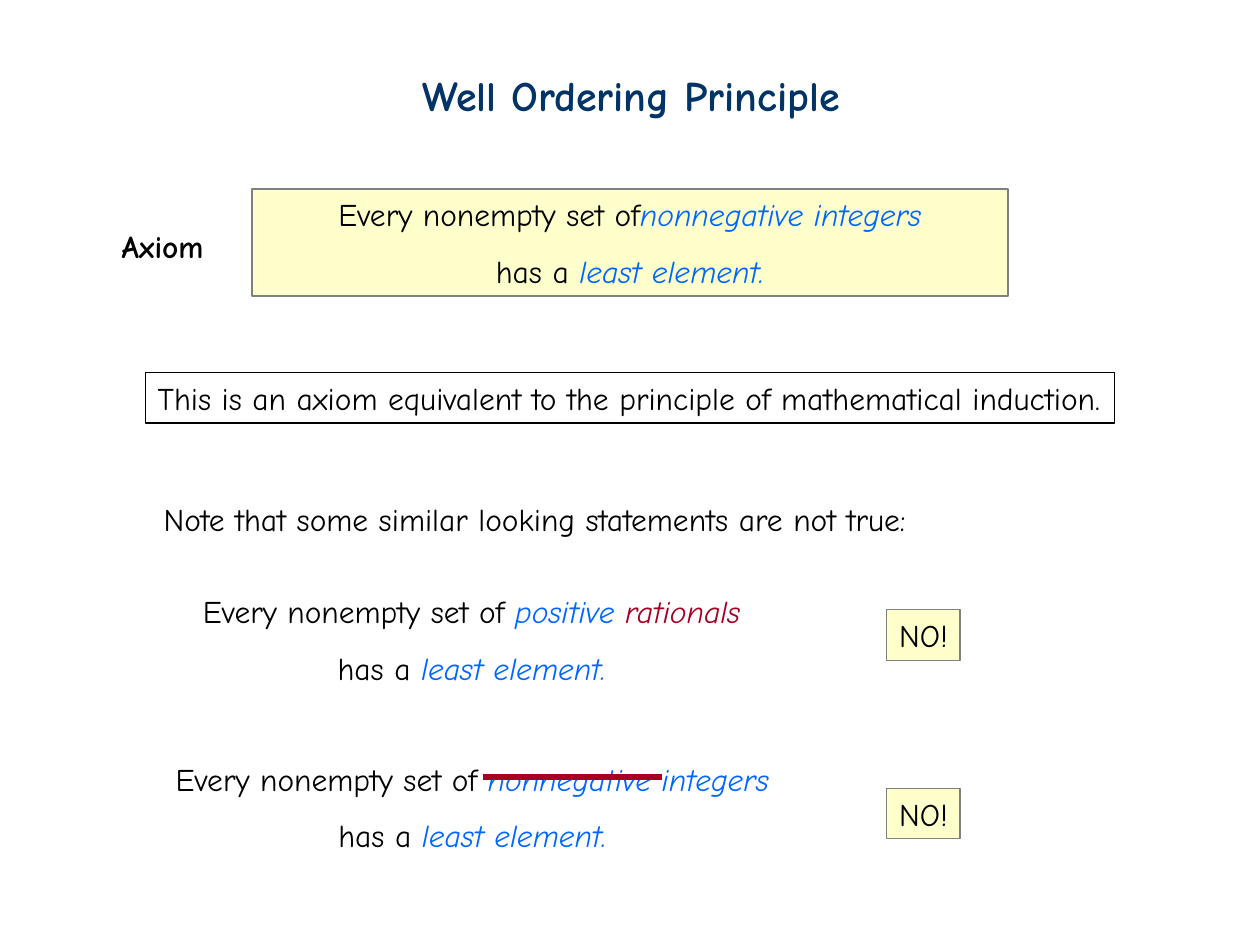
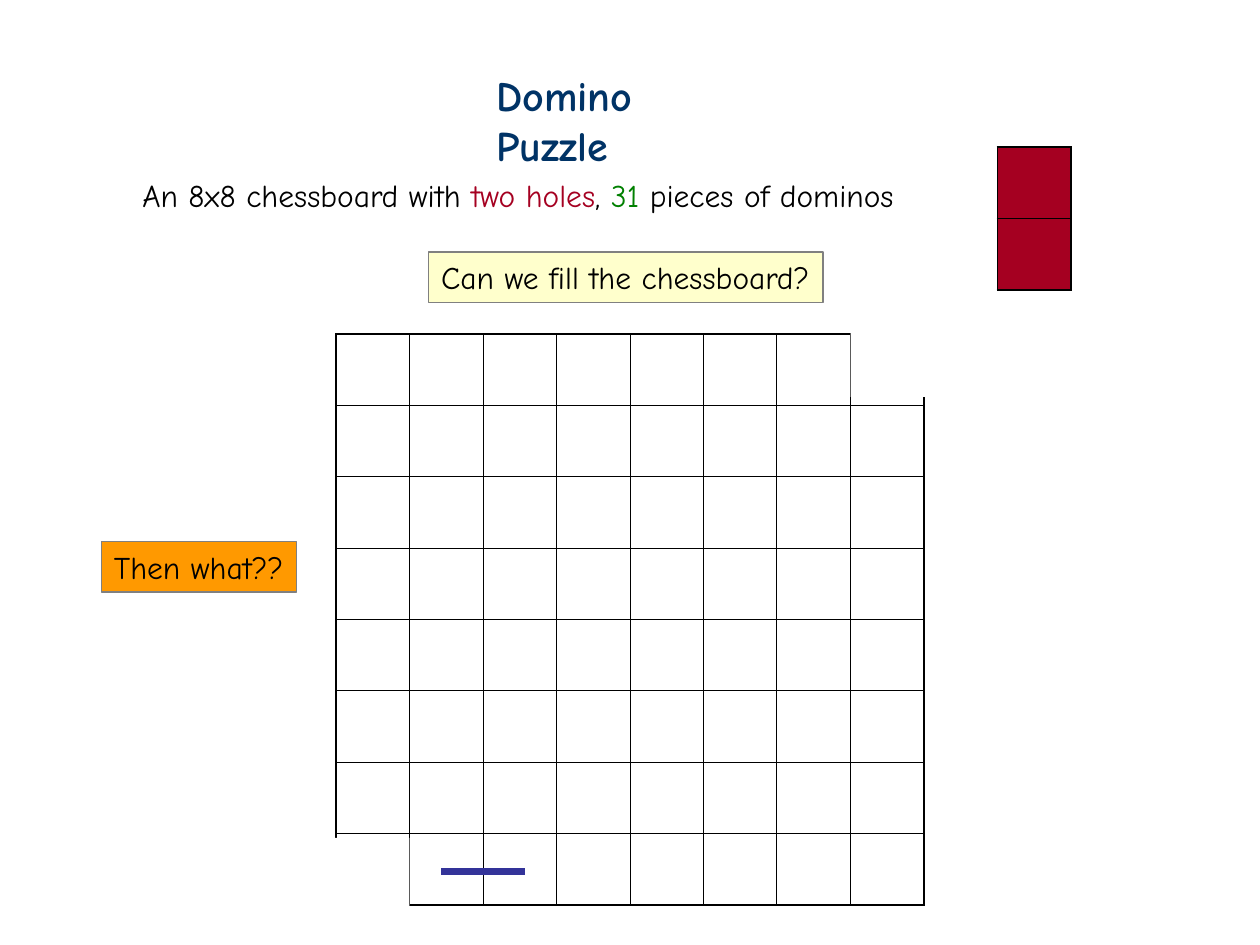
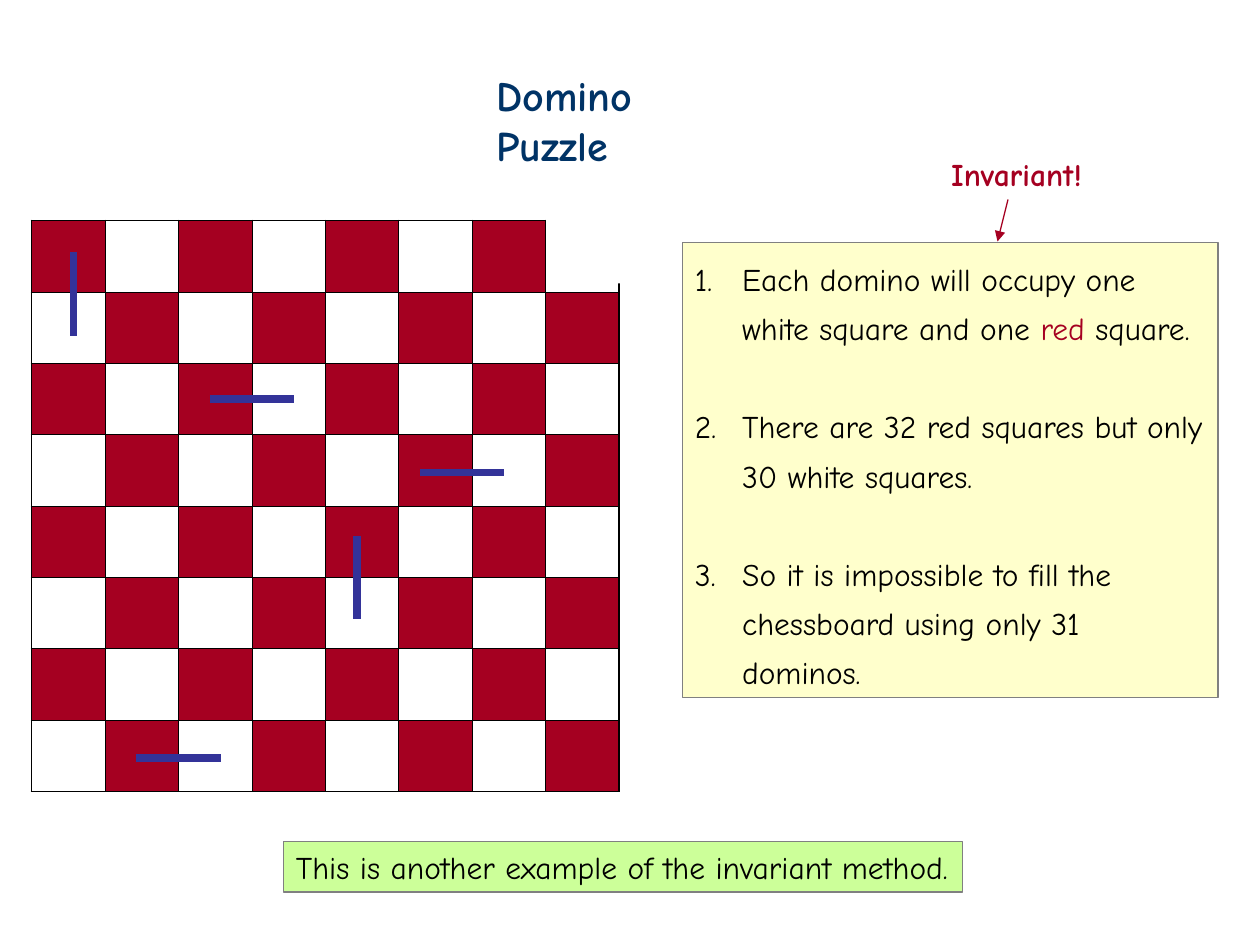
from lxml.etree import SubElement
from pptx import Presentation
from pptx.dml.color import RGBColor
from pptx.enum.shapes import MSO_CONNECTOR, MSO_SHAPE
from pptx.enum.text import MSO_ANCHOR, MSO_AUTO_SIZE, PP_ALIGN
from pptx.oxml.ns import qn
from pptx.util import Pt

COLORS = {
    "black": "000000", "white": "FFFFFF", "navy": "003366", "blue": "0066FF",
    "red": "A50021", "green": "008000", "cream": "FFFFCC", "orange": "FF9900",
    "lime": "CCFF99", "gray": "808080", "indigo": "333399",
}
FONT = "Comic Neue"
LABEL_HEIGHT = 28.8
CELL_WIDTH, CELL_HEIGHT = 42, 40.8
BOARD_SIZE = 8
THIN, THICK = 0.45, 1.08
OVERLAP = 6
MARKER_LENGTH = 48


def rgb(name):
    return RGBColor.from_string(COLORS[name])


def add_run(paragraph, text, color="black", size=18, bold=False, italic=False):
    run = paragraph.add_run()
    run.text = text
    font = run.font
    font.name, font.size = FONT, Pt(size)
    font.bold, font.italic = bold, italic
    font.color.rgb = rgb(color)


def emphasis(text, color="blue"):
    return text, {"color": color, "italic": True}


class Deck:
    def __init__(self):
        self.presentation = Presentation()
        self.presentation.slide_width = Pt(720)
        self.presentation.slide_height = Pt(540)
        self.slide = None

    def new_slide(self, title, left, width):
        layout = self.presentation.slide_layouts[6]
        self.slide = self.presentation.slides.add_slide(layout)
        self.text([[(title, {"color": "navy", "size": 24, "bold": True})]],
                  left, 36, width, 36)

    def rectangle(self, left, top, width, height, fill=None, line=None):
        shape = self.slide.shapes.add_shape(
            MSO_SHAPE.RECTANGLE, Pt(left), Pt(top), Pt(width), Pt(height))
        shape.shadow.inherit = False
        if fill:
            shape.fill.solid()
            shape.fill.fore_color.rgb = rgb(fill)
        else:
            shape.fill.background()
        if line:
            shape.line.color.rgb = rgb(line)
            shape.line.width = Pt(0.75)
        else:
            shape.line.fill.background()
        return shape

    def text(self, paragraphs, left, top, width, height=LABEL_HEIGHT, wrap=False,
             align=PP_ALIGN.LEFT, fill=None, line=None, numbered=False):
        """Each paragraph is a list of plain strings or (text, format) pairs."""
        if fill or line:
            shape = self.rectangle(left, top, width, height, fill, line)
        else:
            shape = self.slide.shapes.add_textbox(
                Pt(left), Pt(top), Pt(width), Pt(height))
        frame = shape.text_frame
        frame.word_wrap = wrap
        frame.auto_size = MSO_AUTO_SIZE.SHAPE_TO_FIT_TEXT
        frame.vertical_anchor = MSO_ANCHOR.TOP
        for index, runs in enumerate(paragraphs):
            paragraph = frame.add_paragraph() if index else frame.paragraphs[0]
            paragraph.alignment = align
            if numbered:
                self.number(paragraph)
                paragraph.line_spacing = 1.3
                if index:
                    paragraph.space_before = Pt(28)
            elif index:
                paragraph.line_spacing = 1.5
            for run in runs:
                content, style = (run, {}) if isinstance(run, str) else run
                add_run(paragraph, content, **style)

    def number(self, paragraph):
        properties = paragraph._p.get_or_add_pPr()
        properties.set("marL", str(Pt(27)))
        properties.set("indent", str(-Pt(27)))
        color = SubElement(properties, qn("a:buClr"))
        SubElement(color, qn("a:srgbClr"), val=COLORS["black"])
        SubElement(properties, qn("a:buFont"), typeface=FONT)
        SubElement(properties, qn("a:buAutoNum"), type="arabicPeriod")

    def note(self, text, left, top, width, fill="cream", line="gray"):
        self.text([[text]], left, top, width, fill=fill, line=line)

    def statement(self, subject, left, top, width, **box):
        """Centred two-line claim about a least element."""
        claim = ["has a ", emphasis("least element.")]
        self.text([subject, claim], left, top, width, 61.2, wrap=True,
                  align=PP_ALIGN.CENTER, **box)

    def line(self, start, end, color, width, arrow=False):
        connector = self.slide.shapes.add_connector(
            MSO_CONNECTOR.STRAIGHT, *map(Pt, start + end))
        connector.line.color.rgb = rgb(color)
        connector.line.width = Pt(width)
        if arrow:
            SubElement(connector.line._get_or_add_ln(), qn("a:tailEnd"), type="triangle")
        SubElement(connector._element.spPr, qn("a:effectLst"))

    def domino_marker(self, left, top, vertical=False):
        end = (left, top + MARKER_LENGTH) if vertical else (left + MARKER_LENGTH, top)
        self.line((left, top), end, "indigo", 4.5)

    def grid(self, left, top, rows, columns, is_red):
        """Table of squares with a thicker outer border."""
        table = self.slide.shapes.add_table(
            rows, columns, Pt(left), Pt(top),
            Pt(columns * CELL_WIDTH), Pt(rows * CELL_HEIGHT)).table
        table.first_row = table.horz_banding = False
        for column in table.columns:
            column.width = Pt(CELL_WIDTH)
        for row in table.rows:
            row.height = Pt(CELL_HEIGHT)
        for row in range(rows):
            for column in range(columns):
                cell = table.cell(row, column)
                if is_red(row, column):
                    cell.fill.solid()
                    cell.fill.fore_color.rgb = rgb("red")
                else:
                    cell.fill.background()
                self.borders(cell, {"L": column == 0, "R": column == columns - 1,
                                    "T": row == 0, "B": row == rows - 1})

    def borders(self, cell, outer_sides):
        properties = cell._tc.get_or_add_tcPr()
        for index, (side, outer) in enumerate(outer_sides.items()):
            border = SubElement(properties, qn(f"a:ln{side}"),
                                w=str(Pt(THICK if outer else THIN)))
            fill = SubElement(border, qn("a:solidFill"))
            SubElement(fill, qn("a:srgbClr"), val=COLORS["black"])
            properties.insert(index, border)  # borders come before the cell fill

    def board(self, left, top, is_red):
        self.grid(left, top, BOARD_SIZE, BOARD_SIZE, is_red)

    def hole(self, left, top):
        self.rectangle(left, top, CELL_WIDTH + OVERLAP, 42, "white")

    def top_right_hole(self, board_left, board_top):
        self.hole(board_left + (BOARD_SIZE - 1) * CELL_WIDTH, board_top - OVERLAP)


def well_ordering(deck):
    deck.new_slide("Well Ordering Principle", 234.5, 255)
    # Axiom
    deck.statement(["Every nonempty set of", emphasis("nonnegative integers")],
                   144, 108, 432, fill="cream", line="gray")
    deck.text([[("Axiom", {"bold": True})]], 62.5, 126, 61.5)
    deck.note("This is an axiom equivalent to the principle of mathematical induction.",
              83, 213, 554, fill=None, line="black")
    # False variants
    deck.text([["Note that some similar looking statements are not true:"]],
              86.4, 282, 440.6)
    deck.statement(["Every nonempty set of ", emphasis("positive "),
                    emphasis("rationals", "red")], 65.5, 334.8, 408)
    deck.statement(["Every nonempty set of ", emphasis("nonnegative integers")],
                   54, 430.5, 432)
    deck.line((276, 444), (378, 444), "red", 3)
    for top in (348.5, 450.5):
        deck.note("NO!", 506.7, top, 42)


def empty_board(deck):
    deck.new_slide("Domino Puzzle", 276.5, 164)
    deck.text([["An 8x8 chessboard with ", ("two holes", {"color": "red"}), ", ",
                ("31", {"color": "green"}), " pieces of dominos"]], 74.2, 97, 444)
    deck.note("Can we fill the chessboard?", 245, 144, 225.4)
    # Single domino
    deck.grid(570, 84, 2, 1, lambda row, column: True)
    # Board with two corners removed
    left, top = 192, 190.8
    deck.board(left, top, lambda row, column: False)
    deck.hole(left - OVERLAP, top + (BOARD_SIZE - 1) * CELL_HEIGHT + 2.4)
    deck.top_right_hole(left, top)
    deck.domino_marker(252, 498)
    deck.note("Then what??", 58, 309.6, 111.5, fill="orange")


def coloured_board(deck):
    deck.new_slide("Domino Puzzle", 276.5, 164)
    # Chessboard colouring
    left, top = 18, 126
    deck.board(left, top, lambda row, column: (row + column) % 2 == 0)
    deck.top_right_hole(left, top)
    for marker in ((78, 433.2), (120, 228), (240, 270)):
        deck.domino_marker(*marker)
    for marker in ((204, 306), (42, 144)):
        deck.domino_marker(*marker, vertical=True)
    # Argument
    deck.text([["Each domino will occupy one white square and one ",
                ("red", {"color": "red"}), " square."],
               ["There are 32 red squares but only 30 white squares."],
               ["So it is impossible to fill the chessboard using only 31 dominos."]],
              390, 138.7, 306, 260, wrap=True, fill="cream", line="gray", numbered=True)
    deck.text([[("Invariant!", {"color": "red", "bold": True})]], 536.4, 85, 89)
    deck.line((576, 114), (570, 138), "red", 0.75, arrow=True)
    deck.note("This is another example of the invariant method.",
              162, 481, 388, fill="lime")


def main():
    deck = Deck()
    well_ordering(deck)
    empty_board(deck)
    coloured_board(deck)
    deck.presentation.save("out.pptx")


if __name__ == "__main__":
    main()
